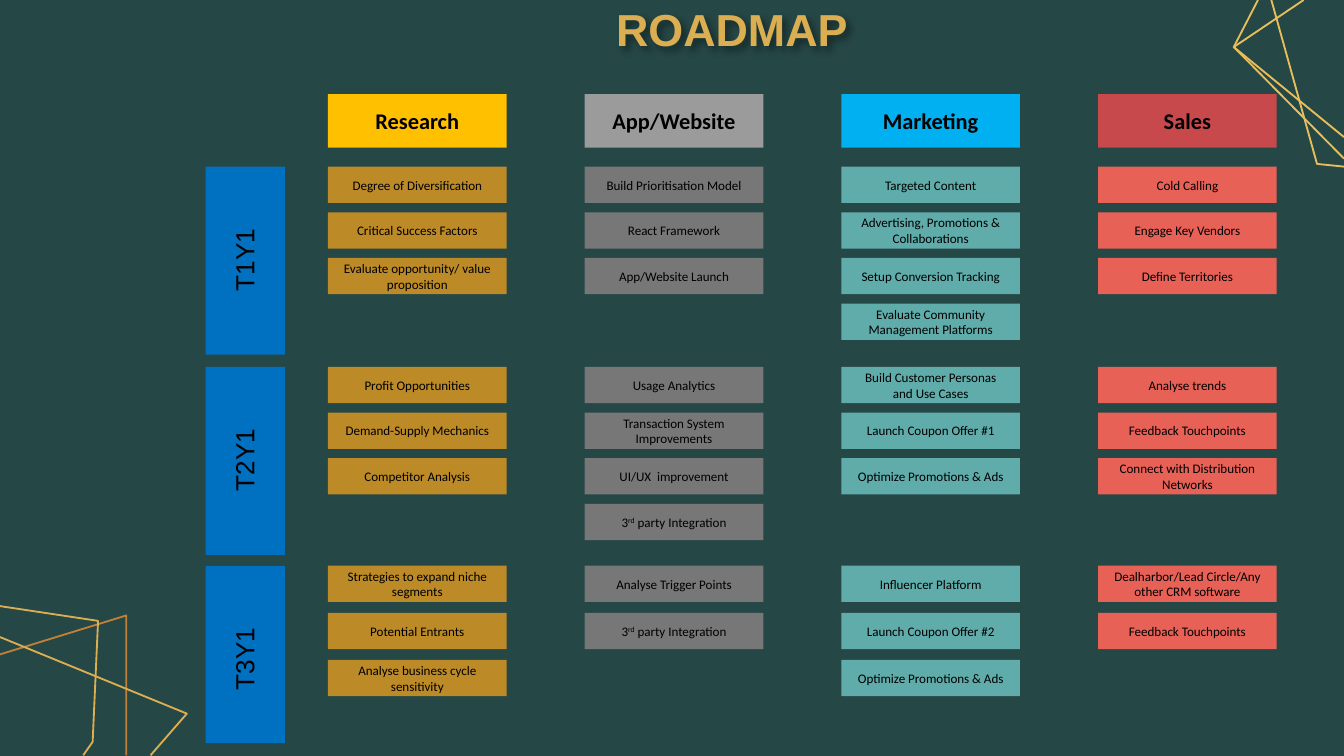
import pptx
import pptx.dml.color
import pptx.enum.shapes
import pptx.enum.text
import pptx.oxml
import pptx.util
from pptx.util import Inches

COLORS = {
    "background": "254746", "gold": "DCAE52", "bright gold": "E8BE5A",
    "bronze": "C08038", "term": "0070C0", "text": "000000",
}
TRACKS = [
    ("Research", "FFC000", "BC8A26", [
        ["Degree of Diversification", "Critical Success Factors",
         "Evaluate opportunity/ value proposition"],
        ["Profit Opportunities", "Demand-Supply Mechanics", "Competitor Analysis"],
        ["Strategies to expand niche segments", "Potential Entrants",
         "Analyse business cycle sensitivity"],
    ]),
    ("App/Website", "9B9B9B", "777777", [
        ["Build Prioritisation Model", "React Framework", "App/Website Launch"],
        ["Usage Analytics", "Transaction System Improvements",
         "UI/UX  improvement", "3^rd^ party Integration"],
        ["Analyse Trigger Points", "3^rd^ party Integration"],
    ]),
    ("Marketing", "00B0F0", "60ACAA", [
        ["Targeted Content", "Advertising, Promotions & Collaborations",
         "Setup Conversion Tracking", "Evaluate Community Management Platforms"],
        ["Build Customer Personas and Use Cases", "Launch Coupon Offer #1",
         "Optimize Promotions & Ads"],
        ["Influencer Platform", "Launch Coupon Offer #2", "Optimize Promotions & Ads"],
    ]),
    ("Sales", "C7494C", "E76157", [
        ["Cold Calling", "Engage Key Vendors", "Define Territories"],
        ["Analyse trends", "Feedback Touchpoints", "Connect with Distribution Networks"],
        ["Dealharbor/Lead Circle/Any other CRM software", "Feedback Touchpoints"],
    ]),
]
TERMS = [("T1Y1", 1.24, 1.4, 0.34), ("T2Y1", 2.73, 1.4, 0.34), ("T3Y1", 4.21, 1.32, 0.35)]
TOP_RIGHT_LINES = [
    ("bright gold", [(0.28, 0), (0.62, 1.22), (0.82, 1.24)]),
    ("bright gold", [(0.18, 0), (0, 0.35), (0.82, 1.18)]),
    ("bright gold", [(0.52, 0), (0, 0.35), (0.82, 1.02)]),
]
BOTTOM_LEFT_LINES = [
    ("bronze", [(0, 0.36), (0.94, 0.07), (0.94, 1.11)]),
    ("gold", [(0, 0), (0.73, 0.11), (0.69, 1.01), (0.62, 1.11)]),
    ("gold", [(0, 0.23), (1.39, 0.8), (1.12, 1.11)]),
]
SHADOW = (
    '<a:effectLst xmlns:a="http://schemas.openxmlformats.org/drawingml/2006/main">'
    '<a:outerShdw blurRad="50800" dist="38100" dir="2700000" algn="tl" rotWithShape="0">'
    '<a:srgbClr val="000000"><a:alpha val="40000"/></a:srgbClr>'
    '</a:outerShdw></a:effectLst>'
)


def rgb(value):
    return pptx.dml.color.RGBColor.from_string(value)


def style(para, size, face, color, bold=False):
    para.font.size = pptx.util.Pt(size)
    para.font.name = face
    para.font.bold = bold
    para.font.color.rgb = rgb(color)


def add_block(page, left, top, width, height, color):
    block = page.shapes.add_shape(
        pptx.enum.shapes.MSO_SHAPE.RECTANGLE,
        Inches(left), Inches(top), Inches(width), Inches(height))
    block.shadow.inherit = False
    block.fill.solid()
    block.fill.fore_color.rgb = rgb(color)
    block.line.fill.background()
    return block


def add_card(page, left, top, width, height, color, text, size, bold=False):
    card = add_block(page, left, top, width, height, color)
    card.text_frame.vertical_anchor = pptx.enum.text.MSO_ANCHOR.MIDDLE
    para = card.text_frame.paragraphs[0]
    para.alignment = pptx.enum.text.PP_ALIGN.CENTER
    style(para, size, "Calibri", COLORS["text"], bold)
    for index, part in enumerate(text.split("^")):
        span = para.add_run()
        span.text = part
        if index % 2:
            span.font._element.set("baseline", "30000")


def add_title(page, left, top, width, height):
    title = page.shapes.title
    title.left, title.top = Inches(left), Inches(top)
    title.width, title.height = Inches(width), Inches(height)
    title.fill.background()
    title._element.spPr.append(pptx.oxml.parse_xml(SHADOW))
    title.text_frame.auto_size = pptx.enum.text.MSO_AUTO_SIZE.NONE
    para = title.text_frame.paragraphs[0]
    para.text = "ROADMAP"
    para.alignment = pptx.enum.text.PP_ALIGN.CENTER
    style(para, 24, "Arial", COLORS["gold"], True)


def add_ornament(page, left, top, lines):
    for color, points in lines:
        spots = [(Inches(left + x), Inches(top + y)) for x, y in points]
        builder = page.shapes.build_freeform(*spots[0])
        builder.add_line_segments(spots[1:], close=False)
        outline = builder.convert_to_shape()
        outline.shadow.inherit = False
        outline.fill.background()
        outline.line.color.rgb = rgb(COLORS[color])
        outline.line.width = pptx.util.Pt(1)


def add_term(page, left, top, width, height, name):
    add_block(page, left, top, width, height, COLORS["term"])
    label = page.shapes.add_textbox(
        Inches(left - 0.07), Inches(top + 0.5), Inches(0.71), Inches(0.34))
    label.rotation = 270
    label.text_frame.word_wrap = True
    label.text_frame.vertical_anchor = pptx.enum.text.MSO_ANCHOR.MIDDLE
    para = label.text_frame.paragraphs[0]
    para.text = name
    style(para, 14, "Arial", COLORS["text"])


def add_track(page, left, top, width, track):
    name, header_color, card_color, tasks_by_term = track
    add_card(page, left, top, width, 0.4, header_color, name, 12, True)
    for (_, term_top, _, pitch), tasks in zip(TERMS, tasks_by_term):
        for row, task in enumerate(tasks):
            add_card(page, left, term_top + pitch * row, width, 0.27, card_color, task, 7)


def main():
    deck = pptx.Presentation()
    deck.slide_width = Inches(10)
    deck.slide_height = deck.slide_width * 9 // 16
    page = deck.slides.add_slide(deck.slide_layouts.get_by_name("Title Only"))
    page.background.fill.solid()
    page.background.fill.fore_color.rgb = rgb(COLORS["background"])
    add_ornament(page, 9.18, 0, TOP_RIGHT_LINES)
    add_ornament(page, 0, 4.51, BOTTOM_LEFT_LINES)
    add_title(page, 2.71, -0.04, 5.47, 0.5)
    for name, top, height, _ in TERMS:
        add_term(page, 1.53, top, 0.59, height, name)
    for column, track in enumerate(TRACKS):
        add_track(page, 2.44 + 1.91 * column, 0.7, 1.33, track)
    deck.save("out.pptx")


if __name__ == "__main__":
    main()
